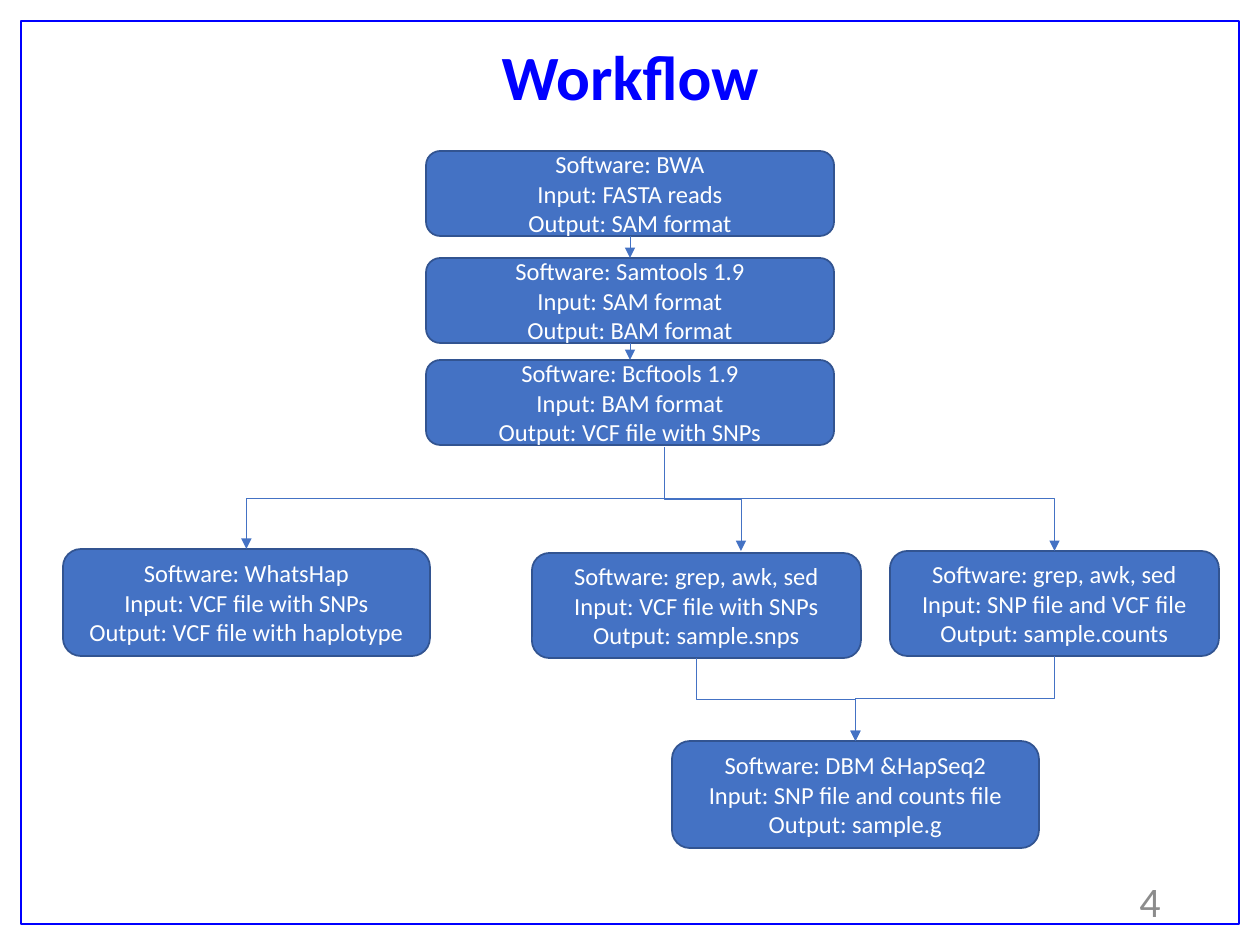
from dataclasses import dataclass

from lxml import etree
from pptx import Presentation
from pptx import util as u
from pptx.dml.color import RGBColor
from pptx.enum import shapes, text
from pptx.oxml import ns

PX = 914400 / 126


def px(length):
    return u.Emu(round(length * PX))


@dataclass(frozen=True)
class Theme:
    font: str = "Calibri"
    blue: str = "0000FF"
    fill: str = "4472C4"
    outline: str = "325491"
    white: str = "FFFFFF"
    grey: str = "8C8C8C"
    title_size: int = 36
    number_size: int = 24
    body_size: int = 14


@dataclass(frozen=True)
class Anchors:
    top: tuple
    bottom: tuple


class Workflow:
    def __init__(self, slide, theme):
        self.slide = slide
        self.theme = theme

    def label(self, shape, words, size, color, align, bold=False):
        frame = shape.text_frame
        frame.text = words
        frame.word_wrap = True
        frame.vertical_anchor = text.MSO_ANCHOR.MIDDLE
        for paragraph in frame.paragraphs:
            paragraph.alignment = align
            for run in paragraph.runs:
                run.font.name = self.theme.font
                run.font.size = u.Pt(size)
                run.font.bold = bold
                run.font.color.rgb = RGBColor.from_string(color)

    def outline(self, shape, color, width):
        shape.line.color.rgb = RGBColor.from_string(color)
        shape.line.width = u.Pt(width)

    def title(self, words, left, top, width, height):
        shape = self.slide.shapes.title
        shape.left, shape.top = px(left), px(top)
        shape.width, shape.height = px(width), px(height)
        self.label(shape, words, self.theme.title_size, self.theme.blue,
                   text.PP_ALIGN.CENTER, bold=True)
        shape.text_frame.paragraphs[0].line_spacing = 0.9

    def page_number(self, words, left, top, width, height):
        shape = self.slide.shapes.add_textbox(px(left), px(top), px(width), px(height))
        self.label(shape, words, self.theme.number_size, self.theme.grey,
                   text.PP_ALIGN.RIGHT)

    def border(self, left, top, width, height):
        shape = self.slide.shapes.add_shape(
            shapes.MSO_SHAPE.RECTANGLE, px(left), px(top), px(width), px(height))
        shape.shadow.inherit = False
        shape.fill.background()
        self.outline(shape, self.theme.blue, 1.5)

    def step(self, software, source, result, left, top, width, height):
        """Draw one workflow box and return its top and bottom centres."""
        shape = self.slide.shapes.add_shape(
            shapes.MSO_SHAPE.FLOWCHART_ALTERNATE_PROCESS,
            px(left), px(top), px(width), px(height))
        shape.shadow.inherit = False
        shape.fill.solid()
        shape.fill.fore_color.rgb = RGBColor.from_string(self.theme.fill)
        self.outline(shape, self.theme.outline, 1)
        words = f"Software: {software}\nInput: {source}\nOutput: {result}"
        self.label(shape, words, self.theme.body_size, self.theme.white,
                   text.PP_ALIGN.CENTER)
        middle = left + width / 2
        return Anchors((middle, top), (middle, top + height))

    def arrow(self, start, end, kind=shapes.MSO_CONNECTOR.STRAIGHT):
        connector = self.slide.shapes.add_connector(
            kind, *(px(value) for value in (*start, *end)))
        self.outline(connector, self.theme.fill, 0.5)
        properties = connector._element.spPr
        head = etree.SubElement(properties.find(ns.qn("a:ln")), ns.qn("a:tailEnd"))
        head.set("type", "triangle")
        etree.SubElement(properties, ns.qn("a:effectLst"))
        return connector

    def corner_arrow(self, start, end):
        """Run across from start, then down to end."""
        connector = self.arrow(start, end, shapes.MSO_CONNECTOR.ELBOW)
        geometry = connector._element.spPr.find(ns.qn("a:prstGeom"))
        geometry.set("prst", "bentConnector2")

    def drop_arrow(self, start, end):
        """Run down, across at half height, then down: a turned elbow."""
        (x1, y1), (x2, y2) = start, end
        center_x, center_y = (x1 + x2) / 2, (y1 + y2) / 2
        half_width, half_height = abs(y2 - y1) / 2, abs(x2 - x1) / 2
        side = 1 if x2 > x1 else -1
        connector = self.arrow(
            (center_x + side * half_width, center_y - half_height),
            (center_x - side * half_width, center_y + half_height),
            shapes.MSO_CONNECTOR.ELBOW)
        turn = 270 if side == 1 else 90
        connector._element.spPr.find(ns.qn("a:xfrm")).set("rot", str(turn * 60000))


def main():
    presentation = Presentation()
    presentation.slide_width, presentation.slide_height = px(1260), px(945)
    slide = presentation.slides.add_slide(presentation.slide_layouts[5])
    flow = Workflow(slide, Theme())

    flow.page_number("4", 890, 876, 283, 50)
    flow.border(21, 21, 1218, 903)
    flow.title("Workflow", 0, 39, 1260, 83)

    stack = [
        flow.step(*words, 426, top, 408, 85)
        for top, words in (
            (151, ("BWA", "FASTA reads", "SAM format")),
            (258, ("Samtools 1.9", "SAM format", "BAM format")),
            (360, ("Bcftools 1.9", "BAM format", "VCF file with SNPs")),
        )
    ]
    haplotype = flow.step("WhatsHap", "VCF file with SNPs",
                          "VCF file with haplotype", 63, 549, 367, 107)
    snps = flow.step("grep, awk, sed", "VCF file with SNPs",
                     "sample.snps", 532, 553, 329, 105)
    counts = flow.step("grep, awk, sed", "SNP file and VCF file",
                       "sample.counts", 890, 551, 329, 105)
    genotype = flow.step("DBM &HapSeq2", "SNP file and counts file",
                         "sample.g", 672, 741, 367, 107)

    for upper, lower in zip(stack, stack[1:]):
        flow.arrow(upper.bottom, lower.top)
    flow.corner_arrow((594, 499), counts.top)
    flow.corner_arrow((664, 499), haplotype.top)
    flow.drop_arrow((664, 447), (741, 551))
    for branch in (snps, counts):
        flow.drop_arrow(branch.bottom, genotype.top)

    presentation.save("out.pptx")


if __name__ == "__main__":
    main()
